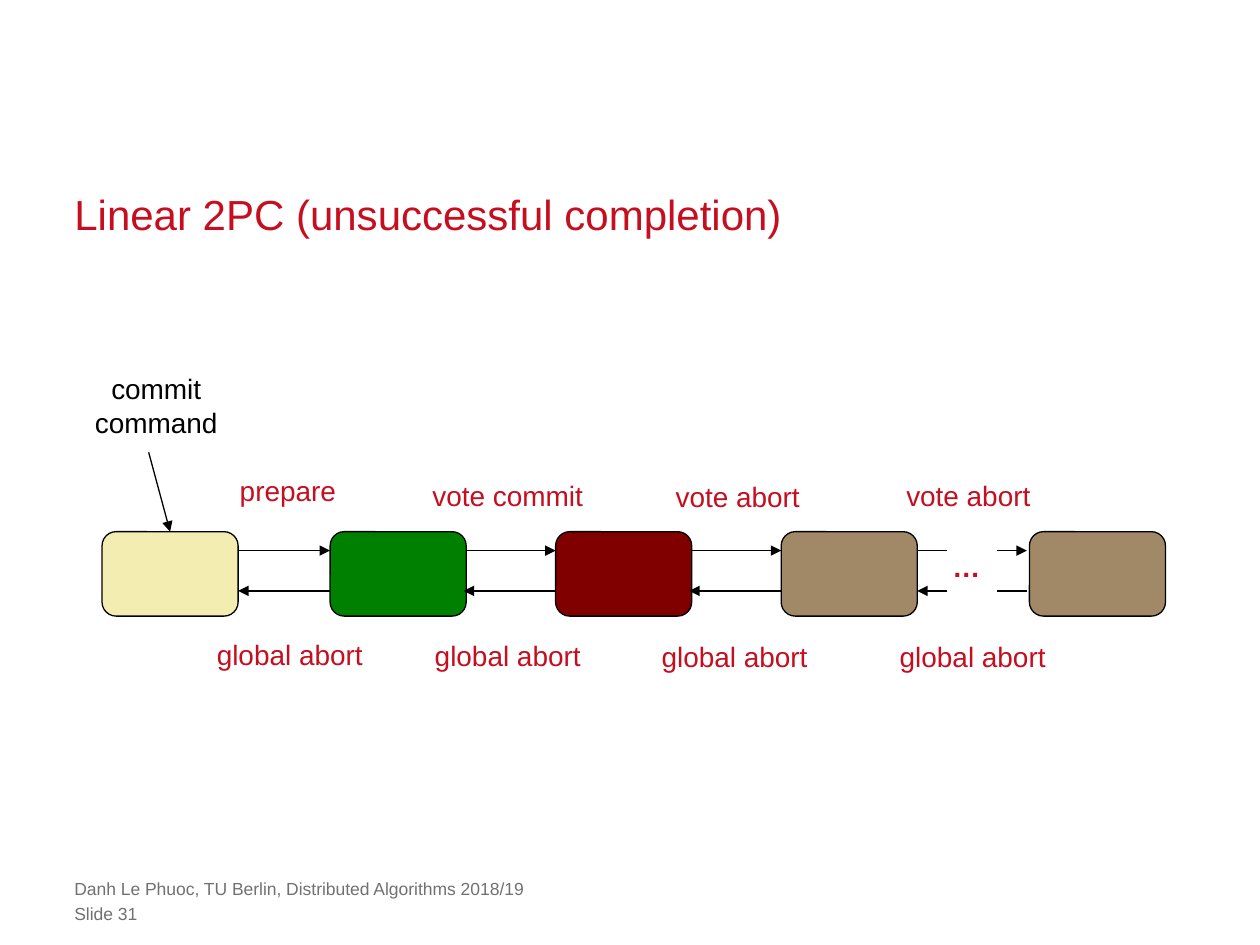
from lxml import etree
from pptx import Presentation
from pptx import util as u
from pptx.dml.color import RGBColor
from pptx.enum import shapes, text
from pptx.oxml import ns

RED, BLACK, GREY = "C50E1F", "000000", "717171"
NODE_TOP, NODE_WIDTH, NODE_HEIGHT = 4.22, 1.08, 0.67
FORWARD_Y, RETURN_Y = 4.37, 4.69

NODES = [(0.81, "F4EDB2"), (2.62, "008000"), (4.41, "800000"),
         (6.2, "A18867"), (8.17, "A18867")]
LINKS = [(1.89, 2.62), (3.68, 4.41), (5.47, 6.2)]
DOTTED_LINK = [(7.28, 7.52), (7.91, 8.15)]
# text, left, top, width
LABELS = [
    ("prepare", 1.8, 3.71, 0.97),
    ("vote commit", 3.33, 3.75, 1.4),
    ("vote abort", 5.26, 3.76, 1.19),
    ("vote abort", 7.09, 3.75, 1.19),
    ("global abort", 1.62, 5.01, 1.36),
    ("global abort", 3.35, 5.02, 1.36),
    ("global abort", 5.15, 5.03, 1.36),
    ("global abort", 7.04, 5.03, 1.36),
]


def color(value):
    return RGBColor.from_string(value)


def write(frame, content, size=16, fill=RED, bold=False, align=text.PP_ALIGN.CENTER):
    paragraph = frame.paragraphs[0]
    paragraph.text = content
    paragraph.alignment = align
    for run in paragraph.runs:
        run.font.name = "Arial"
        run.font.size = u.Pt(size)
        run.font.bold = bold
        run.font.color.rgb = color(fill)
    return paragraph


def remove_margins(frame):
    frame.margin_left = frame.margin_right = 0
    frame.margin_top = frame.margin_bottom = 0


def add_title(slide, content):
    title = slide.shapes.title
    title.left, title.top = u.Inches(0.59), u.Inches(1.48)
    title.width, title.height = u.Inches(8.82), u.Inches(0.42)
    frame = title.text_frame
    remove_margins(frame)
    frame.auto_size = text.MSO_AUTO_SIZE.NONE
    frame.vertical_anchor = text.MSO_ANCHOR.BOTTOM
    paragraph = write(frame, content, size=24, align=text.PP_ALIGN.LEFT)
    paragraph.line_spacing = u.Pt(30)


def add_label(slide, content, left, top, width, height=0.37, **style):
    box = slide.shapes.add_textbox(
        u.Inches(left), u.Inches(top), u.Inches(width), u.Inches(height))
    box.text_frame.word_wrap = False
    write(box.text_frame, content, **style)
    return box


def add_footer(slide, content, top):
    box = add_label(slide, content, 0.59, top, 7.24, 0.17,
                    size=10, fill=GREY, align=text.PP_ALIGN.LEFT)
    box.text_frame.word_wrap = True
    remove_margins(box.text_frame)


def add_node(slide, left, fill):
    node = slide.shapes.add_shape(
        shapes.MSO_SHAPE.ROUNDED_RECTANGLE, u.Inches(left), u.Inches(NODE_TOP),
        u.Inches(NODE_WIDTH), u.Inches(NODE_HEIGHT))
    node.shadow.inherit = False
    node.fill.solid()
    node.fill.fore_color.rgb = color(fill)
    node.line.color.rgb = color(BLACK)
    node.line.width = u.Pt(0.75)


def add_line(slide, start, end, arrow=True):
    line = slide.shapes.add_connector(
        shapes.MSO_CONNECTOR.STRAIGHT, *map(u.Inches, (*start, *end)))
    line.line.color.rgb = color(BLACK)
    line.line.width = u.Pt(0.75)
    if arrow:
        outline = line.line._get_or_add_ln()
        etree.SubElement(outline, ns.qn("a:tailEnd"), type="triangle")
    etree.SubElement(line._element.spPr, ns.qn("a:effectLst"))


def add_chain(slide):
    """Draw the nodes with a forward and a return message in each gap."""
    for left, right in LINKS:
        add_line(slide, (left, FORWARD_Y), (right, FORWARD_Y))
    for left, fill in NODES:
        add_node(slide, left, fill)
    for left, right in LINKS:
        add_line(slide, (right, RETURN_Y), (left, RETURN_Y))
    for index, (left, right) in enumerate(DOTTED_LINK):
        add_line(slide, (left, FORWARD_Y), (right, FORWARD_Y), arrow=index == 1)
        add_line(slide, (right, RETURN_Y), (left, RETURN_Y), arrow=index == 0)
    add_label(slide, "…", 7.46, 4.31, 0.42, bold=True)


def main():
    presentation = Presentation()
    presentation.slide_width = u.Inches(10)
    presentation.slide_height = u.Inches(7.5)
    slide = presentation.slides.add_slide(presentation.slide_layouts[5])

    add_title(slide, "Linear 2PC (unsuccessful completion)")
    add_chain(slide)
    add_label(slide, "commit\vcommand", 0.65, 2.9, 1.18, 0.64, fill=BLACK)
    add_line(slide, (1.18, 3.59), (1.35, NODE_TOP))
    for label in LABELS:
        add_label(slide, *label)
    add_footer(slide, "Danh Le Phuoc, TU Berlin, Distributed Algorithms 2018/19", 6.97)
    add_footer(slide, "Slide 31", 7.17)
    presentation.save("out.pptx")


if __name__ == "__main__":
    main()
